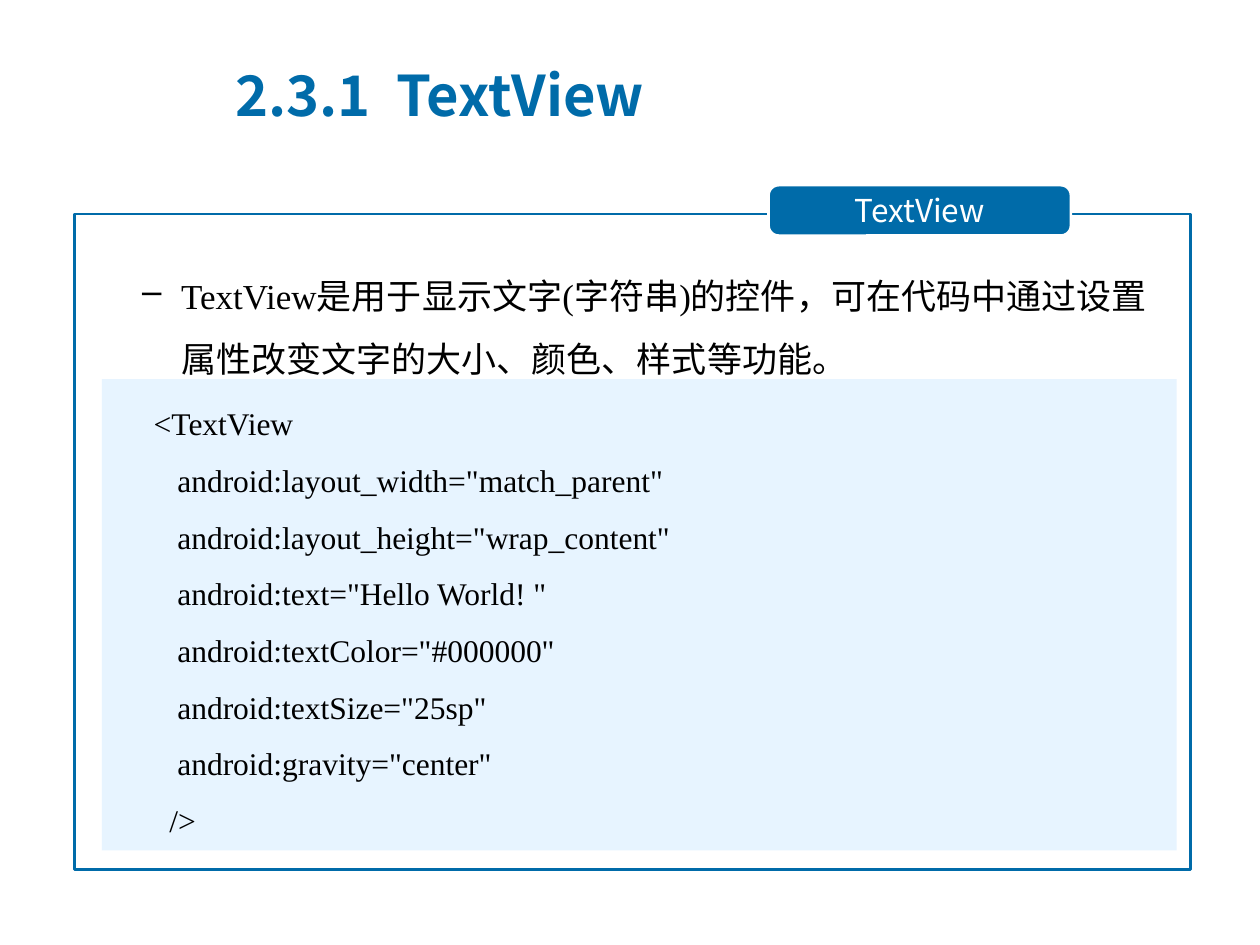
from lxml import etree
from pptx import Presentation
from pptx.dml.color import RGBColor
from pptx.enum.shapes import MSO_SHAPE
from pptx.enum.text import MSO_ANCHOR, PP_ALIGN
from pptx.oxml.ns import qn
from pptx.util import Inches, Pt

BLUE = RGBColor(0x00, 0x6B, 0xA9)
PALE = RGBColor(0xE7, 0xF4, 0xFF)
WHITE = RGBColor(0xFF, 0xFF, 0xFF)
BLACK = RGBColor(0x00, 0x00, 0x00)
SANS = "Noto Sans CJK SC"
SERIF = "Times New Roman"
RECT, ROUND = MSO_SHAPE.RECTANGLE, MSO_SHAPE.ROUNDED_RECTANGLE
TOP, MIDDLE = MSO_ANCHOR.TOP, MSO_ANCHOR.MIDDLE
LEFT, CENTER = PP_ALIGN.LEFT, PP_ALIGN.CENTER

NOTE = "TextView是用于显示文字(字符串)的控件，可在代码中通过设置属性改变文字的大小、颜色、样式等功能。"
CODE = """\
     <TextView
        android:layout_width="match_parent"
        android:layout_height="wrap_content"
        android:text="Hello World! "
        android:textColor="#000000"
        android:textSize="25sp"
        android:gravity="center"
       />"""


def add_box(slide, kind, area, fill=None, line=None):
    box = slide.shapes.add_shape(kind, *map(Inches, area))
    box.shadow.inherit = False
    if fill is None:
        box.fill.background()
    else:
        box.fill.solid()
        box.fill.fore_color.rgb = fill
    if line is None:
        box.line.fill.background()
    else:
        box.line.color.rgb = line
        box.line.width = Pt(1.5)
    return box


def add_label(slide, area):
    return slide.shapes.add_textbox(*map(Inches, area))


def set_text(box, text, size, face, color, bold=False,
             align=LEFT, anchor=TOP, space=1.0):
    frame = box.text_frame
    frame.word_wrap = True
    frame.vertical_anchor = anchor
    frame.text = text
    for para in frame.paragraphs:
        para.alignment = align
        para.line_spacing = space
        font = para.font
        font.size, font.name, font.bold = Pt(size), face, bold
        font.color.rgb = color


def add_dash(para, left, hang):
    props = para._p.get_or_add_pPr()
    props.set("marL", str(Inches(left)))
    props.set("indent", str(-Inches(hang)))
    dash = etree.Element(qn("a:buChar"), char="–")
    # The bullet goes after line spacing and before the font settings
    props.find(qn("a:lnSpc")).addnext(dash)


def main():
    deck = Presentation()
    deck.slide_width, deck.slide_height = Inches(10), Inches(7.5)
    slide = deck.slides.add_slide(deck.slide_layouts[6])

    # Frame with its tab
    add_box(slide, RECT, (0.59, 1.7, 8.86, 5.2), line=BLUE)
    tab = add_box(slide, ROUND, (6.1, 1.47, 2.4, 0.4), BLUE, WHITE)
    tab.adjustments[0] = 0.2
    set_text(tab, "TextView", 18, SANS, WHITE, align=CENTER, anchor=MIDDLE)

    # Explanation
    note = add_label(slide, (0.53, 1.96, 8.72, 1.24))
    set_text(note, NOTE, 20, SERIF, BLACK, space=1.5)
    add_dash(note.text_frame.paragraphs[0], 0.81, 0.31)

    # Code panel
    panel = add_box(slide, RECT, (0.81, 3.01, 8.53, 3.74), PALE)
    set_text(panel, CODE, 18, SERIF, BLACK, space=1.5)

    # Title
    title = add_label(slide, (1.77, 0.44, 7.72, 0.61))
    set_text(title, "2.3.1  TextView", 32, SANS, BLUE, bold=True, anchor=MIDDLE)

    deck.save("out.pptx")


if __name__ == "__main__":
    main()
